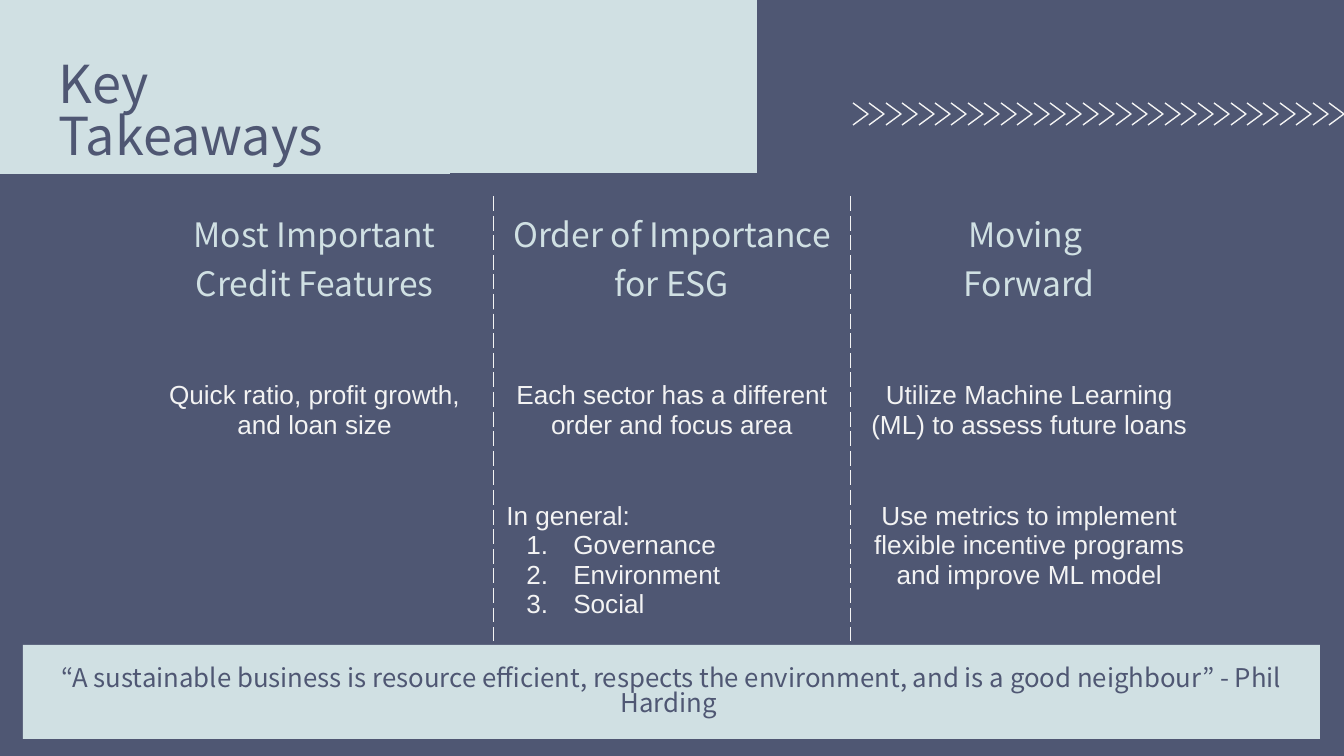
from lxml.etree import SubElement
from pptx import Presentation
from pptx.dml.color import RGBColor
from pptx.enum.shapes import MSO_SHAPE
from pptx.enum.text import MSO_ANCHOR, PP_ALIGN
from pptx.oxml import parse_xml
from pptx.oxml.ns import nsdecls, qn
from pptx.util import Emu, Pt

# Content
TITLE = "Key Takeaways"
QUOTE = ("“A sustainable business is resource efficient, respects the environment, "
         "and is a good neighbour” - Phil Harding ")
HEADINGS = [
    ["Most Important Credit Features"],
    ["Order of Importance for ESG"],
    ["Moving ", "Forward"],
]
FINDINGS = [
    ["Quick ratio, profit growth, and loan size"],
    ["Each sector has a different order and focus area"],
    ["Utilize Machine Learning (ML) to assess future loans"],
]
DETAILS = [
    [],
    ["In general:", "Governance", "Environment", "Social"],
    ["Use metrics to implement flexible incentive programs and improve ML model"],
]
ROWS = [HEADINGS, FINDINGS, DETAILS]
NUMBERED = {"Governance", "Environment", "Social"}

# Look
COLORS = {"slate": "4F5773", "mist": "D0E0E3", "light": "F3F3F3"}
HEAD_FONT, BODY_FONT = "Noto Sans CJK KR", "Arial"
PLAIN_TABLE = "{2D5ABB26-0587-4C30-8999-92F81FD0307C}"

# Layout in px
PX = 914400 / 134.4
WIDTH, HEIGHT = 1344, 756
TABLE_LEFT, TABLE_TOP, TABLE_WIDTH = 136, 196, 1072
ROW_HEIGHTS = [172, 121, 152]
CHEVRONS, CHEVRON_LEFT, CHEVRON_TOP = 30, 853, 103
CHEVRON_WIDTH, CHEVRON_HEIGHT = 15, 22
INSET = 13


def px(length):
    return Emu(round(length * PX))


def area(*lengths):
    return [px(length) for length in lengths]


def color(name):
    return RGBColor.from_string(COLORS[name])


def style(para, font, size, ink, align=PP_ALIGN.LEFT):
    para.alignment = align
    para.font.name = font
    para.font.size = Pt(size)
    para.font.color.rgb = color(ink)


def add_panel(page, *place):
    panel = page.shapes.add_shape(MSO_SHAPE.RECTANGLE, *area(*place))
    panel.shadow.inherit = False
    panel.fill.solid()
    panel.fill.fore_color.rgb = color("mist")
    panel.line.fill.background()
    return panel


def add_chevrons(page):
    pitch = (WIDTH - CHEVRON_WIDTH - CHEVRON_LEFT) / (CHEVRONS - 1)
    for index in range(CHEVRONS):
        left = CHEVRON_LEFT + index * pitch
        builder = page.shapes.build_freeform(left, CHEVRON_TOP, scale=PX)
        builder.add_line_segments([
            (left + CHEVRON_WIDTH, CHEVRON_TOP + CHEVRON_HEIGHT / 2),
            (left, CHEVRON_TOP + CHEVRON_HEIGHT),
        ], close=False)
        chevron = builder.convert_to_shape()
        chevron.shadow.inherit = False
        chevron.fill.background()
        chevron.line.color.rgb = color("light")
        chevron.line.width = Pt(0.75)


def fill_frame(frame, text, size, align):
    frame.word_wrap = True
    frame.vertical_anchor = MSO_ANCHOR.MIDDLE
    frame.margin_left = frame.margin_right = px(INSET)
    frame.margin_top = frame.margin_bottom = px(INSET)
    frame.text = text
    para = frame.paragraphs[0]
    para.line_spacing = 0.82
    style(para, HEAD_FONT, size, "slate", align)


def number(para):
    props = para._p.get_or_add_pPr()
    props.set("marL", str(px(67)))
    props.set("indent", str(-px(47)))
    ink = SubElement(SubElement(props, qn("a:buClr")), qn("a:srgbClr"))
    ink.set("val", COLORS["light"])
    SubElement(props, qn("a:buAutoNum")).set("type", "arabicPeriod")


def dash_border(cell, sides):
    props = cell._tc.get_or_add_tcPr()
    for index, side in enumerate(sides):
        props.insert(index, parse_xml(
            f'<a:ln{side} {nsdecls("a")} w="9525"><a:solidFill>'
            f'<a:srgbClr val="{COLORS["light"]}"/></a:solidFill>'
            f'<a:prstDash val="dash"/></a:ln{side}>'))


def fill_cell(cell, lines, is_heading):
    cell.fill.background()
    cell.margin_left = cell.margin_right = px(INSET)
    cell.margin_top = cell.margin_bottom = px(INSET)
    cell.text = "\n".join(lines)
    align = PP_ALIGN.LEFT if len(lines) > 2 else PP_ALIGN.CENTER
    for para, line in zip(cell.text_frame.paragraphs, lines):
        if line in NUMBERED:
            number(para)
        if is_heading:
            style(para, HEAD_FONT, 18, "mist", align)
        else:
            style(para, BODY_FONT, 14, "light", align)


def add_takeaways(page):
    columns = len(HEADINGS)
    place = area(TABLE_LEFT, TABLE_TOP, TABLE_WIDTH, sum(ROW_HEIGHTS))
    table = page.shapes.add_table(len(ROWS), columns, *place).table
    table.first_row = table.horz_banding = False
    table._tbl.tblPr.find(qn("a:tableStyleId")).text = PLAIN_TABLE
    for column in table.columns:
        column.width = px(TABLE_WIDTH / columns)
    for r, (row, height) in enumerate(zip(ROWS, ROW_HEIGHTS)):
        table.rows[r].height = px(height)
        for c, lines in enumerate(row):
            cell = table.cell(r, c)
            fill_cell(cell, lines, row is HEADINGS)
            dash_border(cell, "L" * (c > 0) + "R" * (c < columns - 1))


def main():
    deck = Presentation()
    deck.slide_width, deck.slide_height = area(WIDTH, HEIGHT)
    page = deck.slides.add_slide(deck.slide_layouts[5])
    page.background.fill.solid()
    page.background.fill.fore_color.rgb = color("slate")

    # Header band and chevrons, with the title above them
    title = page.shapes.title
    add_panel(page, 0, 0, 450, 174)
    add_panel(page, 445, 0, 312, 173)
    add_chevrons(page)
    title.left, title.top, title.width, title.height = area(46, 79, 385, 70)
    fill_frame(title.text_frame, TITLE, 28, PP_ALIGN.LEFT)
    page.shapes._spTree.append(title._element)

    # Three columns of takeaways
    add_takeaways(page)

    # Closing quote
    add_panel(page, 23, 645, 1297, 94)
    quote = page.shapes.add_textbox(*area(23, 653, 1297, 79))
    fill_frame(quote.text_frame, QUOTE, 13.8, PP_ALIGN.CENTER)

    deck.save("out.pptx")


if __name__ == "__main__":
    main()
